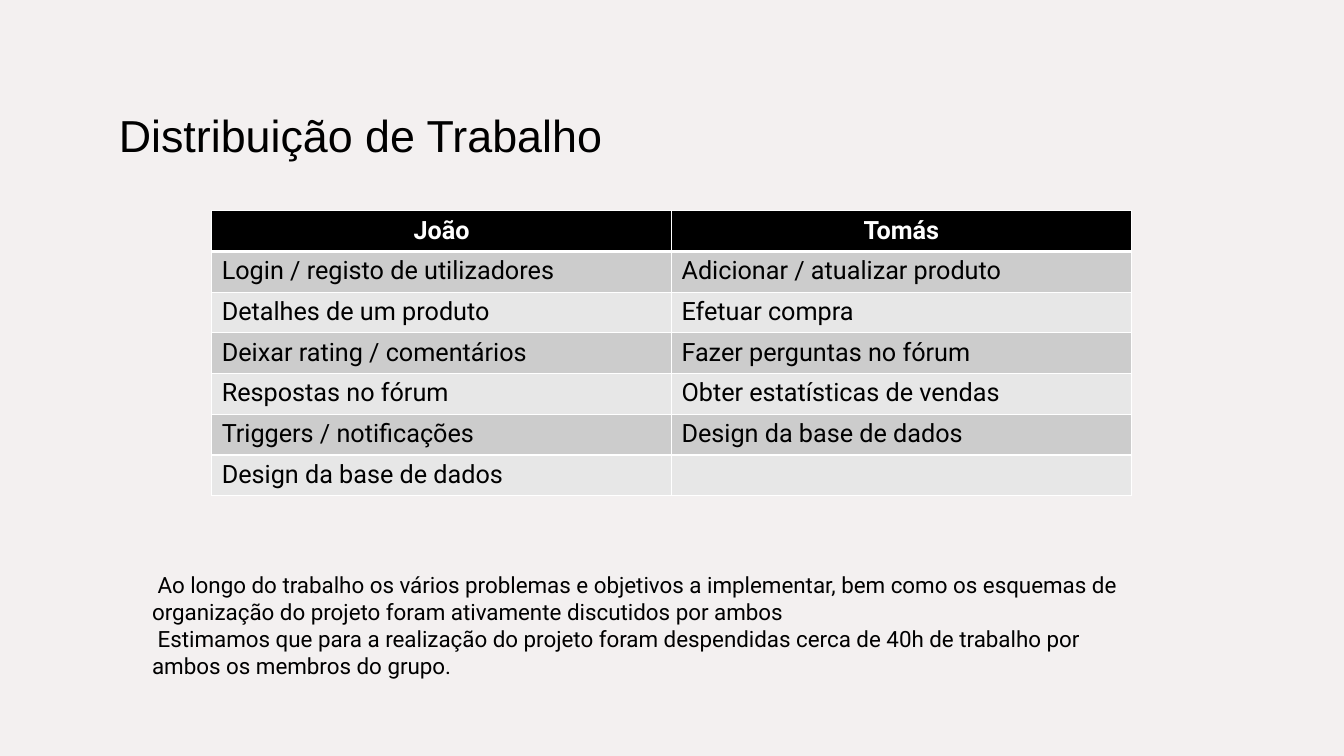
from lxml import etree
from pptx import Presentation
from pptx.dml.color import RGBColor
from pptx.enum import text
from pptx.oxml import ns
from pptx.util import Inches, Pt

BLACK = RGBColor(0x00, 0x00, 0x00)
WHITE = RGBColor(0xFF, 0xFF, 0xFF)
PAPER = RGBColor(0xF3, 0xF0, 0xF0)
BANDS = (RGBColor(0xE7, 0xE7, 0xE7), RGBColor(0xCC, 0xCC, 0xCC))

TASKS = [
    ("João", "Tomás"),
    ("Login / registo de utilizadores", "Adicionar / atualizar produto"),
    ("Detalhes de um produto", "Efetuar compra"),
    ("Deixar rating / comentários", "Fazer perguntas no fórum"),
    ("Respostas no fórum", "Obter estatísticas de vendas"),
    ("Triggers / notificações", "Design da base de dados"),
    ("Design da base de dados", ""),
]
NOTES = [
    " Ao longo do trabalho os vários problemas e objetivos a implementar, bem como os "
    "esquemas de organização do projeto foram ativamente discutidos por ambos",
    " Estimamos que para a realização do projeto foram despendidas cerca de 40h de "
    "trabalho por ambos os membros do grupo.",
]


def write(para, words, **font):
    span = para.add_run()
    span.text = words
    span.font.color.rgb = font.pop("color", BLACK)
    for name, value in font.items():
        setattr(span.font, name, value)


def add_text(page, box, paragraphs, anchor, **font):
    frame = page.shapes.add_textbox(*map(Inches, box)).text_frame
    frame.word_wrap = True
    frame.vertical_anchor = anchor
    for index, words in enumerate(paragraphs):
        para = frame.add_paragraph() if index else frame.paragraphs[0]
        write(para, words, **font)


def add_borders(cell, widths):
    """Draw white borders; widths maps a side (L, R, T, B) to points."""
    properties = cell._tc.get_or_add_tcPr()
    for index, (side, width) in enumerate(widths.items()):
        line = etree.Element(ns.qn(f"a:ln{side}"), w=str(Pt(width)))
        fill = etree.SubElement(line, ns.qn("a:solidFill"))
        etree.SubElement(fill, ns.qn("a:srgbClr"), val=str(WHITE))
        properties.insert(index, line)


def add_task_table(page, box):
    left, top, width, height = map(Inches, box)
    table = page.shapes.add_table(len(TASKS), len(TASKS[0]), left, top, width, height).table
    for row, names in enumerate(TASKS):
        header = row == 0
        for column, words in enumerate(names):
            cell = table.cell(row, column)
            cell.fill.solid()
            cell.fill.fore_color.rgb = BLACK if header else BANDS[row % 2]
            add_borders(cell, {"L": 1, "R": 1, "T": 3 if row == 1 else 1, "B": 3 if header else 1})
            if words:
                para = cell.text_frame.paragraphs[0]
                para.alignment = text.PP_ALIGN.CENTER if header else text.PP_ALIGN.LEFT
                write(para, words, name="Roboto", size=Pt(18), bold=header,
                      color=WHITE if header else BLACK)


def main():
    deck = Presentation()
    deck.slide_width, deck.slide_height = Inches(13.33), Inches(7.5)
    page = deck.slides.add_slide(deck.slide_layouts[6])
    page.background.fill.solid()
    page.background.fill.fore_color.rgb = PAPER
    add_text(page, (1.08, 0.43, 11.17, 1.22), ["Distribuição de Trabalho"],
             text.MSO_ANCHOR.BOTTOM, name="Arial", size=Pt(32))
    add_task_table(page, (2.1, 2.09, 9.12, 2.83))
    add_text(page, (1.41, 5.62, 9.82, 1.18), NOTES,
             text.MSO_ANCHOR.TOP, name="Roboto", size=Pt(16))
    deck.save("out.pptx")


if __name__ == "__main__":
    main()
